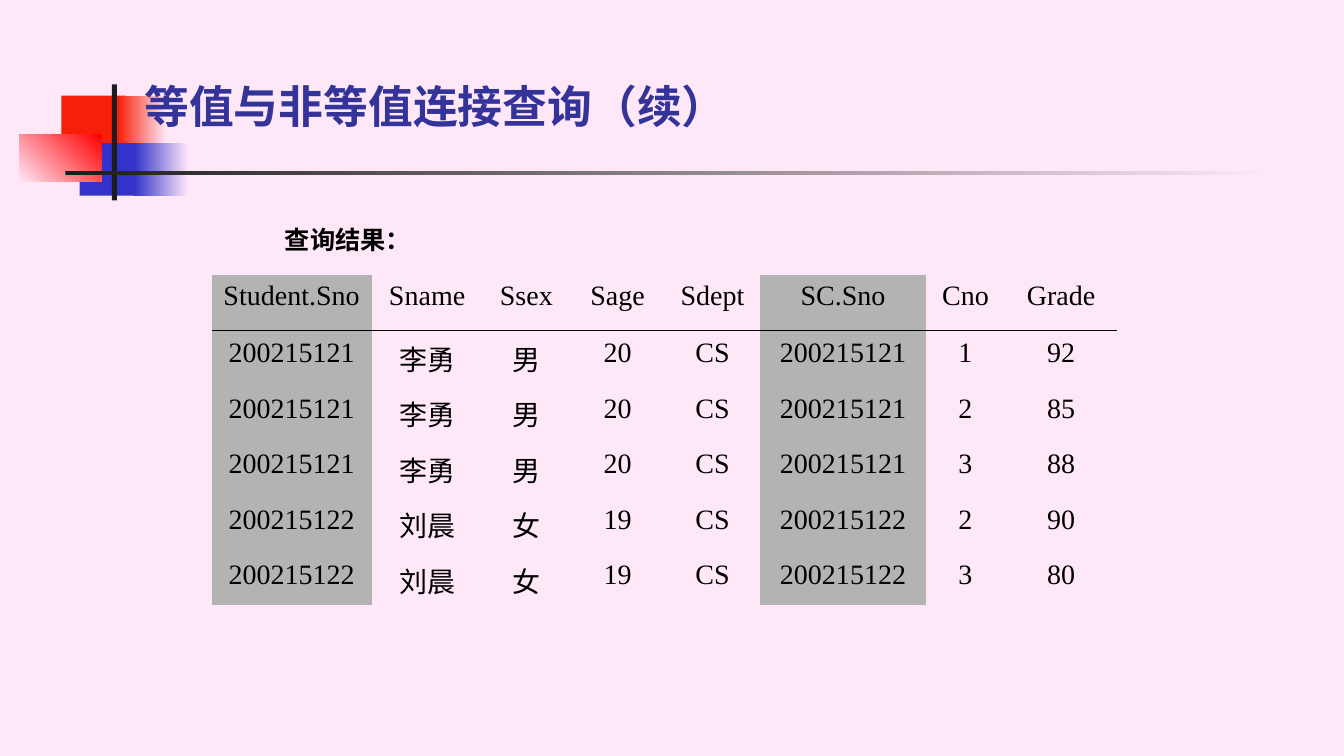
from typing import Any, NamedTuple

from lxml.etree import SubElement
from pptx import Presentation
from pptx.dml.color import RGBColor
from pptx.enum.shapes import MSO_CONNECTOR, MSO_SHAPE
from pptx.enum.text import MSO_ANCHOR, MSO_AUTO_SIZE, PP_ALIGN
from pptx.oxml.ns import qn
from pptx.util import Cm, Pt

PINK, BLACK, RED, BLUE, DARK, GRAY = (
    "FEE8F7", "000000", "F81F08", "3333CC", "1C1C1C", "B3B3B3")
SERIF = "Times New Roman"
NO_GRID = "{2D5ABB26-0587-4C30-8999-92F81FD0307C}"


class Bar(NamedTuple):
    left: float
    top: float
    width: float
    height: float
    fill: str
    fade: str = ""
    angle: int = 0


BARS = [
    Bar(1.55, 2.41, 1.63, 1.32, RED),
    Bar(2.97, 2.41, 1.22, 1.32, RED, PINK),
    Bar(2.01, 3.61, 1.57, 1.32, BLUE),
    Bar(3.38, 3.61, 1.37, 1.32, BLUE, PINK),
    Bar(0.48, 3.4, 2.08, 1.17, PINK, "FF0000", 45),
    Bar(2.82, 2.13, 0.13, 2.92, DARK),
    Bar(1.65, 4.32, 30.48, 0.09, DARK, PINK),
]

WIDTHS = [4.04, 2.79, 2.21, 2.39, 2.39, 4.19, 1.98, 2.84]
HEIGHTS = [1.45] + [1.4] * 4 + [1.19]
HEAD = ["Student.Sno", "Sname", "Ssex", "Sage", "Sdept", "SC.Sno", "Cno", "Grade"]
LI = ["200215121", "李勇", "男", "20", "CS", "200215121"]
LIU = ["200215122", "刘晨", "女", "19", "CS", "200215122"]
ROWS = [HEAD, LI + ["1", "92"], LI + ["2", "85"], LI + ["3", "88"],
        LIU + ["2", "90"], LIU + ["3", "80"]]
KEYS = ("Student.Sno", "SC.Sno")


def paint(color: Any, code: str) -> None:
    color.rgb = RGBColor.from_string(code)


def apply(item: Any, form: dict[str, Any]) -> None:
    for name, value in form.items():
        setattr(item, name, value)


def write(frame: Any, text: str, code: str, form: dict[str, Any],
          align: PP_ALIGN = PP_ALIGN.LEFT) -> None:
    frame.text = text
    para = frame.paragraphs[0]
    para.alignment = align
    font = para.runs[0].font
    apply(font, form)
    paint(font.color, code)


def draw_bar(slide: Any, bar: Bar) -> None:
    shape = slide.shapes.add_shape(MSO_SHAPE.RECTANGLE, *map(Cm, bar[:4]))
    shape.shadow.inherit = False
    shape.line.fill.background()
    if bar.fade:
        shape.fill.gradient()
        shape.fill.gradient_angle = bar.angle
        for stop, code in zip(shape.fill.gradient_stops, (bar.fill, bar.fade)):
            paint(stop.color, code)
    else:
        shape.fill.solid()
        paint(shape.fill.fore_color, bar.fill)


def draw_title(slide: Any) -> None:
    title = slide.shapes.title
    apply(title, {"left": Cm(3.38), "top": Cm(1.9),
                  "width": Cm(27.38), "height": Cm(1.57)})
    apply(title.text_frame, {"vertical_anchor": MSO_ANCHOR.BOTTOM,
                             "auto_size": MSO_AUTO_SIZE.NONE})
    write(title.text_frame, "等值与非等值连接查询（续）", "333399",
          {"name": "Calibri", "size": Pt(32), "bold": True})
    # Bring the title in front of the bars
    slide.shapes._spTree.append(title._element)


def draw_table(slide: Any, left: float, top: float) -> None:
    table = slide.shapes.add_table(
        len(ROWS), len(HEAD), Cm(left), Cm(top),
        Cm(sum(WIDTHS)), Cm(sum(HEIGHTS))).table
    apply(table, {"first_row": False, "horz_banding": False})
    table._tbl.tblPr.find(qn("a:tableStyleId")).text = NO_GRID
    for col, width in zip(table.columns, WIDTHS):
        col.width = Cm(width)
    for r, (row, height) in enumerate(zip(ROWS, HEIGHTS)):
        table.rows[r].height = Cm(height)
        for c, text in enumerate(row):
            cell = table.cell(r, c)
            write(cell.text_frame, text, BLACK,
                  {"name": SERIF, "size": Pt(20), "bold": False}, PP_ALIGN.CENTER)
            if HEAD[c] in KEYS:
                cell.fill.solid()
                paint(cell.fill.fore_color, GRAY)
            else:
                cell.fill.background()


def draw_label(slide: Any) -> None:
    box = slide.shapes.add_textbox(Cm(6.93), Cm(5.54), Cm(3.71), Cm(1.02))
    apply(box.text_frame, {"word_wrap": False,
                           "auto_size": MSO_AUTO_SIZE.SHAPE_TO_FIT_TEXT})
    write(box.text_frame, "查询结果：", BLACK,
          {"name": SERIF, "size": Pt(18), "bold": True})


def draw_rule(slide: Any, left: float, right: float, top: float) -> None:
    rule = slide.shapes.add_connector(
        MSO_CONNECTOR.STRAIGHT, Cm(left), Cm(top), Cm(right), Cm(top))
    rule.line.width = Pt(0.75)
    paint(rule.line.color, BLACK)
    SubElement(rule._element.spPr, qn("a:effectLst"))


def main() -> None:
    deck = Presentation()
    apply(deck, {"slide_width": Cm(33.87), "slide_height": Cm(19.05)})
    slide = deck.slides.add_slide(deck.slide_layouts.get_by_name("Title Only"))
    slide.background.fill.solid()
    paint(slide.background.fill.fore_color, PINK)

    # Corner ornament and title
    for bar in BARS:
        draw_bar(slide, bar)
    draw_title(slide)

    # Query result
    draw_table(slide, 5.33, 6.93)
    draw_label(slide)
    draw_rule(slide, 5.33, 28.14, 8.33)
    deck.save("out.pptx")


if __name__ == "__main__":
    main()
